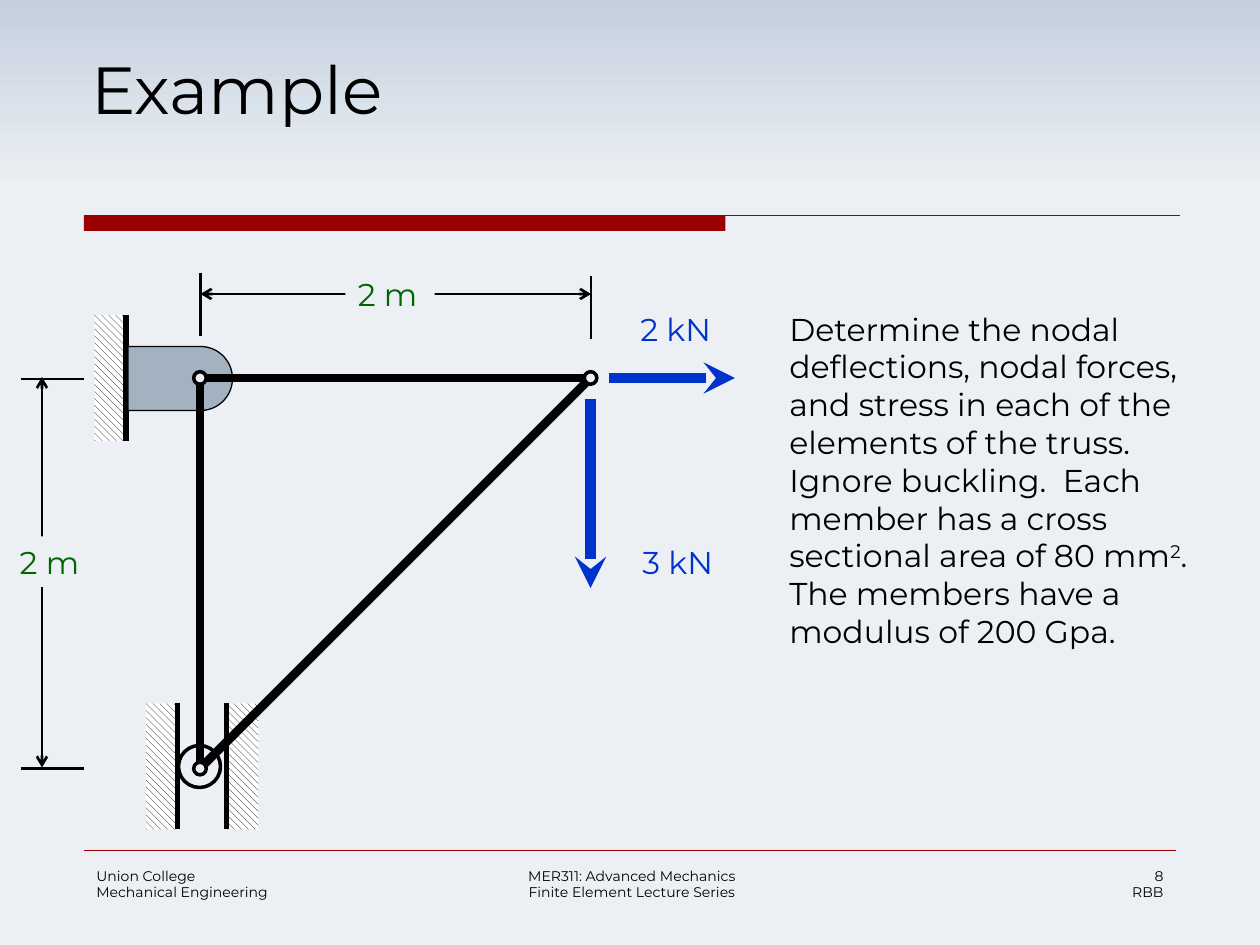
import math
from lxml import etree
from pptx import Presentation, util as u
from pptx.dml import color
from pptx.enum import dml, shapes, text
from pptx.oxml import ns

COLORS = {"ink": "000000", "red": "990000", "load": "0033CC", "size": "006600",
          "sky": "C4D0DE", "paper": "ECF0F4", "steel": "A3B2C1", "white": "FFFFFF"}
FONT = "Montserrat"
COLUMNS, ROWS = 120, 90

TITLE = ("Example", (7.5, 4, 105, 16))
PROBLEM = ("Determine the nodal deflections, nodal forces, and stress in each of the "
           "elements of the truss.  Ignore buckling.  Each member has a cross sectional "
           "area of 80 mm^2^.  The members have a modulus of 200 Gpa.")
PROBLEM_BOX = (74, 28.9, 43, 37.6)
FOOTERS = [
    ("Union College\nMechanical Engineering", (8, 82, 25, 6), "LEFT"),
    ("MER311: Advanced Mechanics\nFinite Element Lecture Series", (45.7, 82, 29, 4.4), "CENTER"),
    ("8\nRBB", (84, 82, 28, 4.8), "RIGHT"),
]
SPAN = 37.2
PIN, LOADED = (19.05, 36), (19.05 + SPAN, 36)
ROLLER = (19.05, 36 + SPAN)
MEMBERS = [(PIN, LOADED), (ROLLER, PIN), (ROLLER, LOADED)]
MEMBER_GAP = 0.55
WALLS = [(9, 30, 12), (21.6, 67, 21.6), (13.9, 67, 16.9)]
WALL_SIZE = (3, 12)
FORCES = [
    ("2 kN", (58, 36), (70, 36), (59.8, 28.9)),
    ("3 kN", (LOADED[0], 38), (LOADED[0], 56), (60, 51.1)),
]
WITNESSES = [((19.1, 26), (19.1, 32)), ((56.3, 26.3), (56.3, 32.3)),
             ((8, 36.1), (2, 36.1)), ((8, 73.2), (2, 73.2))]
DIMENSIONS = [
    ("2 m", (19.1, 28), (56.3, 28), (32.9, 25.6)),
    ("2 m", (4, 35.9), (4, 73.1), (0.7, 51.1)),
]

deck = Presentation()
deck.slide_width, deck.slide_height = u.Inches(10), u.Inches(7.5)
slide = deck.slides.add_slide(deck.slide_layouts[5])


def rgb(name):
    return color.RGBColor.from_string(COLORS[name])


def x(column):
    return round(deck.slide_width * column / COLUMNS)


def y(row):
    return round(deck.slide_height * row / ROWS)


def place(box):
    left, top, width, height = box
    return x(left), y(top), x(width), y(height)


def write(words, box, size=18, ink="ink", align="LEFT", wrap=True, back=None, holder=None):
    if holder is None:
        holder = slide.shapes.add_textbox(*place(box))
    else:
        holder.left, holder.top, holder.width, holder.height = place(box)
    if back:
        holder.fill.solid()
        holder.fill.fore_color.rgb = rgb(back)
    frame = holder.text_frame
    frame.word_wrap = wrap
    frame.auto_size = text.MSO_AUTO_SIZE.NONE
    frame.vertical_anchor = text.MSO_ANCHOR.TOP
    for row, line in enumerate(words.split("\n")):
        paragraph = frame.add_paragraph() if row else frame.paragraphs[0]
        paragraph.alignment = text.PP_ALIGN[align]
        for part, piece in enumerate(line.split("^")):
            run = paragraph.add_run()
            run.text = piece
            run.font.size, run.font.name = u.Pt(size), FONT
            run.font.color.rgb = rgb(ink)
            if part % 2:
                run.font._element.set("baseline", "30000")


def connect(start, end, width, ink="ink", **arrows):
    connector = slide.shapes.add_connector(
        shapes.MSO_CONNECTOR.STRAIGHT, x(start[0]), y(start[1]), x(end[0]), y(end[1]))
    connector.line.width = u.Pt(width)
    connector.line.color.rgb = rgb(ink)
    outline = connector.line._get_or_add_ln()
    for tag in ("headEnd", "tailEnd"):
        if tag in arrows:
            etree.SubElement(outline, ns.qn("a:" + tag), type=arrows[tag])
    etree.SubElement(connector._element.spPr, ns.qn("a:effectLst"))


def paint(shape, fill, line_width=0):
    shape.shadow.inherit = False
    shape.fill.solid()
    shape.fill.fore_color.rgb = rgb(fill)
    if line_width:
        shape.line.width = u.Pt(line_width)
        shape.line.color.rgb = rgb("ink")
    else:
        shape.line.fill.background()


def circle(center, diameter):
    box = (center[0] - diameter / 2, center[1] - diameter / 2, diameter, diameter)
    paint(slide.shapes.add_shape(shapes.MSO_SHAPE.OVAL, *place(box)), "paper", 2)


def wall(left, top, edge):
    width, height = WALL_SIZE
    hatch = slide.shapes.add_shape(shapes.MSO_SHAPE.RECTANGLE, *place((left, top, width, height)))
    paint(hatch, "white")
    hatch.fill.patterned()
    hatch.fill.pattern = dml.MSO_PATTERN.WIDE_DOWNWARD_DIAGONAL
    hatch.fill.fore_color.rgb = rgb("ink")
    hatch.fill.back_color.rgb = rgb("white")
    connect((edge, top), (edge, top + height), 3)


def bracket(left, center, radius):
    angles = [math.radians(degree) for degree in range(-90, 91, 6)]
    arc = [(x(center[0] + radius * math.cos(angle)), y(center[1] + radius * math.sin(angle)))
           for angle in angles]
    builder = slide.shapes.build_freeform(x(left), y(center[1] - radius))
    builder.add_line_segments(arc + [(x(left), y(center[1] + radius))], close=True)
    paint(builder.convert_to_shape(), "steel", 0.75)


def member(start, end):
    length = math.dist(start, end)
    step = [MEMBER_GAP * (b - a) / length for a, b in zip(start, end)]
    connect([a + s for a, s in zip(start, step)], [b - s for b, s in zip(end, step)], 5)


backdrop = slide.background.fill
backdrop.gradient()
backdrop.gradient_angle = 270
for stop, name, position in zip(backdrop.gradient_stops, ("sky", "paper"), (0, 0.2)):
    stop.color.rgb, stop.position = rgb(name), position

bar = slide.shapes.add_shape(shapes.MSO_SHAPE.RECTANGLE, *place((8, 20.5, 61.1, 1.5)))
paint(bar, "red")
connect((8, 20.5), (112.4, 20.5), 0.75, "red")
connect((8, 81), (112, 81), 0.25, "red")
write(*TITLE, size=38, holder=slide.shapes.title)
for words, box, align in FOOTERS:
    write(words, box, size=8, align=align)

for support in WALLS:
    wall(*support)
circle((19, 73), 4)
bracket(12.2, (19.1, 36.05), 3.05)
for ends in MEMBERS:
    member(*ends)
for joint in (PIN, ROLLER, LOADED):
    circle(joint, 1.2)

for words, start, end, corner in FORCES:
    connect(start, end, 6, "load", tailEnd="stealth")
    write(words, (*corner, 10, 4.8), ink="load", wrap=False)
for ends in WITNESSES:
    connect(*ends, 1.5)
for words, start, end, corner in DIMENSIONS:
    connect(start, end, 1.5, headEnd="arrow", tailEnd="arrow")
    write(words, (*corner, 8.5, 4.8), ink="size", wrap=False, back="paper")
write(PROBLEM, PROBLEM_BOX)

deck.save("out.pptx")
